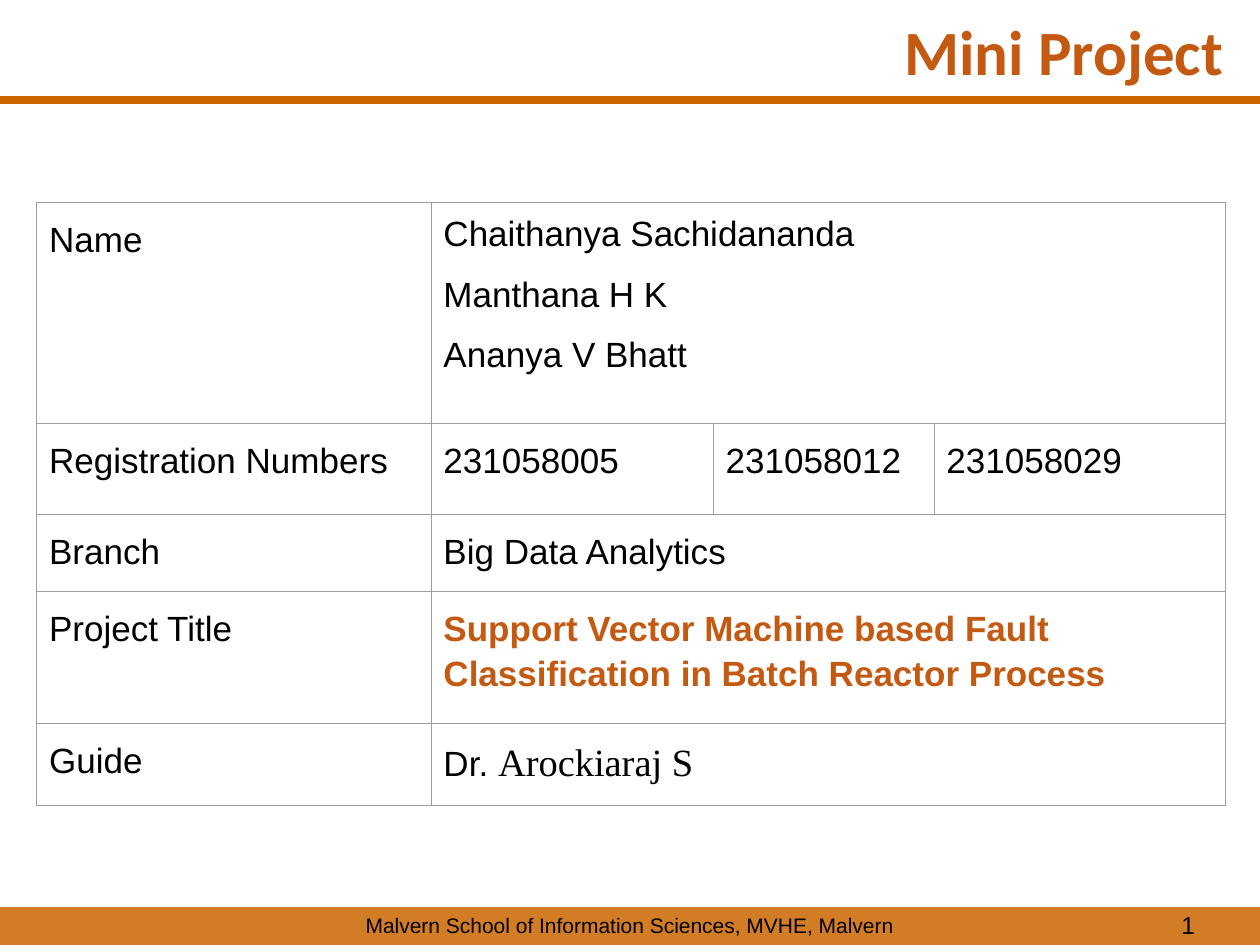
from lxml import etree
from pptx import Presentation
from pptx.dml.color import RGBColor
from pptx.enum.shapes import MSO_CONNECTOR, MSO_SHAPE
from pptx.enum.text import MSO_ANCHOR, MSO_AUTO_SIZE, PP_ALIGN
from pptx.oxml.ns import qn
from pptx.util import Cm, Pt

RECT, LINE = MSO_SHAPE.RECTANGLE, MSO_CONNECTOR.STRAIGHT
TOP, FIXED = MSO_ANCHOR.TOP, MSO_AUTO_SIZE.NONE
LEFT, MID, RIGHT = PP_ALIGN.LEFT, PP_ALIGN.CENTER, PP_ALIGN.RIGHT

HUES = {"band": "CC6600", "accent": "C45911", "text": "000000", "grid": "9E9E9E"}
BASE = {"name": "Arial", "size": Pt(20), "bold": False}
STRONG = {"bold": True, "hue": "accent"}
SERIF = {"name": "Times New Roman", "size": Pt(22)}
HEAD = {"name": "Calibri", "size": Pt(36), "bold": True, "hue": "accent"}

TITLE = "Mini Project"
FOOTER = "Malvern School of Information Sciences, MVHE, Malvern"
NAMES = ["Chaithanya Sachidananda", "Manthana H K", "Ananya V Bhatt"]
TOPIC = "Support Vector Machine based Fault Classification in Batch Reactor Process"
ROWS = [
    ("Name", [[[(name, {})] for name in NAMES]]),
    ("Registration Numbers",
     [[[(num, {})]] for num in ("231058005", "231058012", "231058029")]),
    ("Branch", [[[("Big Data Analytics", {})]]]),
    ("Project Title", [[[(TOPIC, STRONG)]]]),
    ("Guide", [[[("Dr. ", {}), ("Arockiaraj S", SERIF)]]]),
]
WIDTHS = [7.95, 5.69, 4.45, 5.87]
HEIGHTS = [4.45, 1.83, 1.55, 2.67, 1.65]


def apply(item, style):
    """Set each attribute named in the style."""
    for key, value in style.items():
        setattr(item, key, value)


def paint(font, style):
    """Format a font from the base style and its changes."""
    look = {**BASE, "hue": "text", **style}
    font.color.rgb = RGBColor.from_string(HUES[look.pop("hue")])
    apply(font, look)


def write(para, runs, form):
    """Fill a paragraph with styled runs."""
    apply(para, form)
    for text, style in runs:
        run = para.add_run()
        run.text = text
        paint(run.font, style)


def frame(shape, pad):
    """Set up a text frame and return its first paragraph."""
    body = shape.text_frame
    apply(body, {"word_wrap": True, "auto_size": FIXED, "vertical_anchor": TOP,
                 "margin_left": Cm(0.25), "margin_right": Cm(0.25),
                 "margin_top": Cm(pad), "margin_bottom": Cm(pad)})
    return body.paragraphs[0]


def edge(cell):
    """Clear the fill of a cell and draw its four borders."""
    cell.fill.background()
    props = cell._tc.get_or_add_tcPr()
    for i, side in enumerate("LRTB"):
        line = etree.Element(qn(f"a:ln{side}"), w=str(Pt(0.75)))
        fill = etree.SubElement(line, qn("a:solidFill"))
        etree.SubElement(fill, qn("a:srgbClr"), val=HUES["grid"])
        props.insert(i, line)


def fill_cell(cell, paras, single):
    """Write the paragraphs of a table cell."""
    body = cell.text_frame
    for i, runs in enumerate(paras):
        para = body.add_paragraph() if i else body.paragraphs[0]
        form = {"space_before": Pt(12)}
        if single:
            form["line_spacing"] = 1.15
        if i == len(paras) - 1:
            form["space_after"] = Pt(12)
        write(para, runs, form)


def add_grid(slide):
    """Build the project table."""
    table = slide.shapes.add_table(
        len(ROWS), len(WIDTHS), Cm(0.74), Cm(4.09),
        Cm(sum(WIDTHS)), Cm(sum(HEIGHTS))).table
    apply(table, {"first_row": False, "horz_banding": False})
    for col, width in zip(table.columns, WIDTHS):
        col.width = Cm(width)
    for row, height in zip(table.rows, HEIGHTS):
        row.height = Cm(height)
    for cell in table.iter_cells():
        edge(cell)
        apply(cell, dict.fromkeys(
            ("margin_left", "margin_right", "margin_top", "margin_bottom"), Cm(0.25)))
    for r, (label, values) in enumerate(ROWS):
        fill_cell(table.cell(r, 0), [[(label, {})]], True)
        if len(values) == 1:
            table.cell(r, 1).merge(table.cell(r, len(WIDTHS) - 1))
        for c, paras in enumerate(values, 1):
            fill_cell(table.cell(r, c), paras, len(paras) == 1)


def add_bands(slide):
    """Draw the header rule and the footer bar."""
    hue = RGBColor.from_string(HUES["band"])
    rule = slide.shapes.add_connector(LINE, 0, Cm(2.01), Cm(25.48), Cm(2.01))
    rule.line.color.rgb = hue
    rule.line.width = Pt(4.5)
    etree.SubElement(rule._element.spPr, qn("a:effectLst"))
    bar = slide.shapes.add_shape(RECT, 0, Cm(18.29), Cm(25.4), Cm(0.76))
    bar.shadow.inherit = False
    bar.fill.solid()
    bar.fill.fore_color.rgb = hue
    bar.line.fill.background()
    tint = bar._element.spPr.find(".//" + qn("a:srgbClr"))
    etree.SubElement(tint, qn("a:alpha"), val="85000")


def add_foot(slide):
    """Add the footer text and the slide number field."""
    note = slide.shapes.add_textbox(0, Cm(18.26), Cm(25.4), Cm(0.76))
    write(frame(note, 0.13), [(FOOTER, {"size": Pt(12)})], {"alignment": MID})
    page = slide.shapes.add_textbox(Cm(18.42), Cm(18.21), Cm(5.92), Cm(0.84))
    para = frame(page, 0.13)
    write(para, [("1", {"size": Pt(14)})], {"alignment": RIGHT})
    field = para.runs[0]._r
    field.tag = qn("a:fld")
    field.set("id", "{B6F15528-21DE-4FAA-801E-634DDDAF4B2B}")
    field.set("type", "slidenum")


def main():
    """Build and save the slide."""
    deck = Presentation()
    apply(deck, {"slide_width": Cm(25.4), "slide_height": Cm(19.05)})
    slide = deck.slides.add_slide(deck.slide_layouts[5])
    title = slide.shapes.title
    apply(title, {"left": Cm(17.98), "top": 0, "width": Cm(7.42), "height": Cm(2.06)})
    write(frame(title, 0.25), [(TITLE, HEAD)], {"alignment": LEFT})
    add_bands(slide)
    add_foot(slide)
    add_grid(slide)
    deck.save("out.pptx")


if __name__ == "__main__":
    main()
